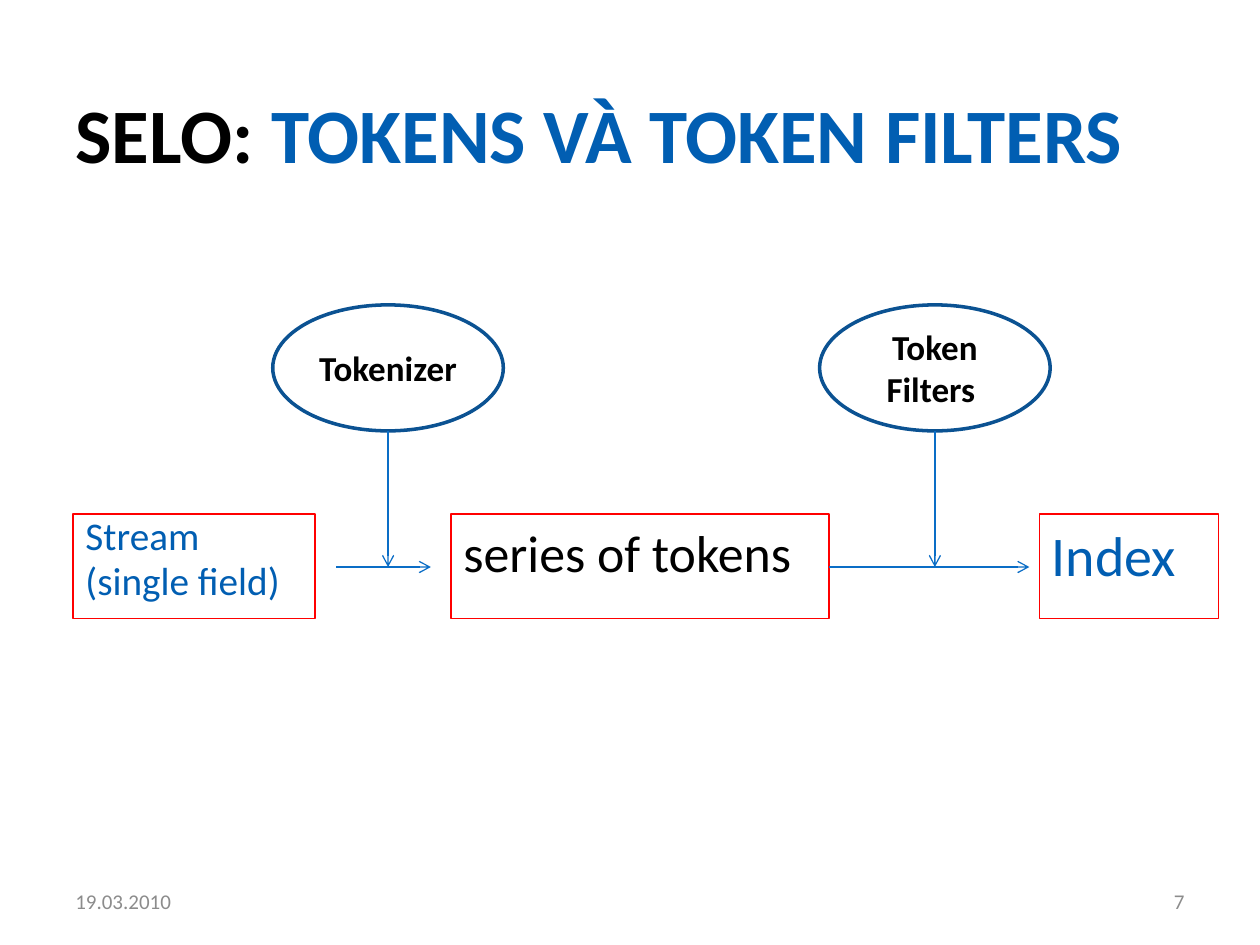
"""Build the slide on tokens and token filters."""
from dataclasses import dataclass

from lxml.etree import SubElement
from pptx import Presentation
from pptx.dml.color import RGBColor
from pptx.enum.shapes import MSO_CONNECTOR as Connector, MSO_SHAPE as Preset
from pptx.enum.text import MSO_ANCHOR as Anchor, PP_ALIGN as Align
from pptx.oxml.ns import qn
from pptx.slide import Slide
from pptx.text.text import TextFrame
from pptx.util import Inches, Pt


@dataclass(frozen=True)
class Theme:
    """Hold the colours, font and type sizes of the slide."""
    font: str = "Calibri"
    black: str = "000000"
    blue: str = "015EB2"
    grey: str = "8C8C8C"
    red: str = "FF0000"
    rim: str = "0B5292"
    arrow: str = "0A6DC6"
    title: float = 44
    filter: float = 20
    footer: float = 12
    thin: float = 0.75
    thick: float = 2


@dataclass(frozen=True)
class Stage:
    """Describe one boxed stage of the token flow."""
    lines: tuple[str, ...]
    left: float
    width: float
    size: float
    color: str
    spacing: float = 1.0


@dataclass(frozen=True)
class Arrow:
    """Describe one arrow by its two ends."""
    start: tuple[float, float]
    end: tuple[float, float]


@dataclass(frozen=True)
class Footer:
    """Describe one footer entry."""
    text: str
    left: float
    align: Align


THEME = Theme()
STAGE_TOP, STAGE_HEIGHT = 4.08, 0.83
FLOW_Y = 4.5
FILTER_TOP, FILTER_WIDTH, FILTER_HEIGHT = 2.42, 1.83, 1.0

STAGES = (
    Stage(("Stream", "(single field)"), 0.58, 1.92, 22.4, THEME.blue, 0.8),
    Stage(("series of tokens",), 3.58, 3.0, 29.6, THEME.black),
    Stage(("Index",), 8.25, 1.42, 32, THEME.blue),
)
FILTERS = {"Tokenizer": 3.08, "Token Filters ": 7.42}
FLOWS = (
    Arrow((2.67, FLOW_Y), (3.42, FLOW_Y)),
    Arrow((6.58, FLOW_Y), (8.17, FLOW_Y)),
)
FOOTERS = (
    Footer("19.03.2010", 0.5, Align.LEFT),
    Footer("7", 7.17, Align.RIGHT),
)


def write(frame: TextFrame, text: str, *, size: float, color: str,
          bold: bool = False, align: Align = Align.LEFT, spacing: float = 1.0,
          before: float = 0, new: bool = False) -> None:
    """Add a formatted run to the last paragraph or to a new one."""
    para = frame.add_paragraph() if new else frame.paragraphs[-1]
    para.alignment = align
    para.line_spacing = spacing
    para.space_before = Pt(before)
    span = para.add_run()
    span.text = text
    span.font.name = THEME.font
    span.font.size = Pt(size)
    span.font.bold = bold
    span.font.color.rgb = RGBColor.from_string(color)


def add_outline(page: Slide, preset: Preset, left: float, top: float, width: float,
                height: float, color: str, weight: float, anchor: Anchor) -> TextFrame:
    """Draw an unfilled preset shape and return its text frame."""
    box = page.shapes.add_shape(
        preset, Inches(left), Inches(top), Inches(width), Inches(height))
    box.shadow.inherit = False
    box.fill.background()
    box.line.color.rgb = RGBColor.from_string(color)
    box.line.width = Pt(weight)
    box.text_frame.word_wrap = True
    box.text_frame.vertical_anchor = anchor
    return box.text_frame


def add_stage(page: Slide, stage: Stage) -> None:
    """Draw a stage box with one paragraph for each line."""
    frame = add_outline(page, Preset.RECTANGLE, stage.left, STAGE_TOP, stage.width,
                        STAGE_HEIGHT, THEME.red, THEME.thin, Anchor.TOP)
    for index, line in enumerate(stage.lines):
        write(frame, line, size=stage.size, color=stage.color, spacing=stage.spacing,
              before=round(stage.size * 0.2, 1), new=index > 0)


def add_arrow(page: Slide, arrow: Arrow) -> None:
    """Draw a straight line with an open arrowhead at its end."""
    ends = [Inches(value) for value in (*arrow.start, *arrow.end)]
    line = page.shapes.add_connector(Connector.STRAIGHT, *ends)
    line.line.color.rgb = RGBColor.from_string(THEME.arrow)
    line.line.width = Pt(THEME.thin)
    SubElement(line.line._get_or_add_ln(), qn("a:tailEnd"), type="arrow")
    SubElement(line._element.spPr, qn("a:effectLst"))


def add_filter(page: Slide, text: str, center: float) -> None:
    """Draw a processing ellipse and its arrow down to the flow."""
    frame = add_outline(page, Preset.OVAL, center - FILTER_WIDTH / 2, FILTER_TOP,
                        FILTER_WIDTH, FILTER_HEIGHT, THEME.rim, THEME.thick,
                        Anchor.MIDDLE)
    write(frame, text, size=THEME.filter, color=THEME.black, bold=True,
          align=Align.CENTER)
    add_arrow(page, Arrow((center, FILTER_TOP + FILTER_HEIGHT), (center, FLOW_Y)))


def add_title(page: Slide) -> None:
    """Place and fill the title placeholder."""
    title = page.shapes.title
    title.left, title.top = Inches(0.5), Inches(0.25)
    title.width, title.height = Inches(9), Inches(1.61)
    frame = title.text_frame
    frame.vertical_anchor = Anchor.MIDDLE
    for text, color in (("SELO: ", THEME.black), ("TOKENS VÀ TOKEN FILTERS", THEME.blue)):
        write(frame, text, size=THEME.title, color=color, bold=True)


def add_footer(page: Slide, footer: Footer) -> None:
    """Write a footer entry."""
    box = page.shapes.add_textbox(
        Inches(footer.left), Inches(6.95), Inches(2.33), Inches(0.4))
    box.text_frame.word_wrap = True
    box.text_frame.vertical_anchor = Anchor.MIDDLE
    write(box.text_frame, footer.text, size=THEME.footer, color=THEME.grey,
          align=footer.align)


def main() -> None:
    """Build and save the deck."""
    deck = Presentation()
    deck.slide_width, deck.slide_height = Inches(10), Inches(7.5)
    page = deck.slides.add_slide(deck.slide_layouts.get_by_name("Title Only"))
    add_title(page)
    for footer in FOOTERS:
        add_footer(page, footer)
    for stage in STAGES:
        add_stage(page, stage)
    for flow in FLOWS:
        add_arrow(page, flow)
    for text, center in FILTERS.items():
        add_filter(page, text, center)
    deck.save("out.pptx")


if __name__ == "__main__":
    main()
